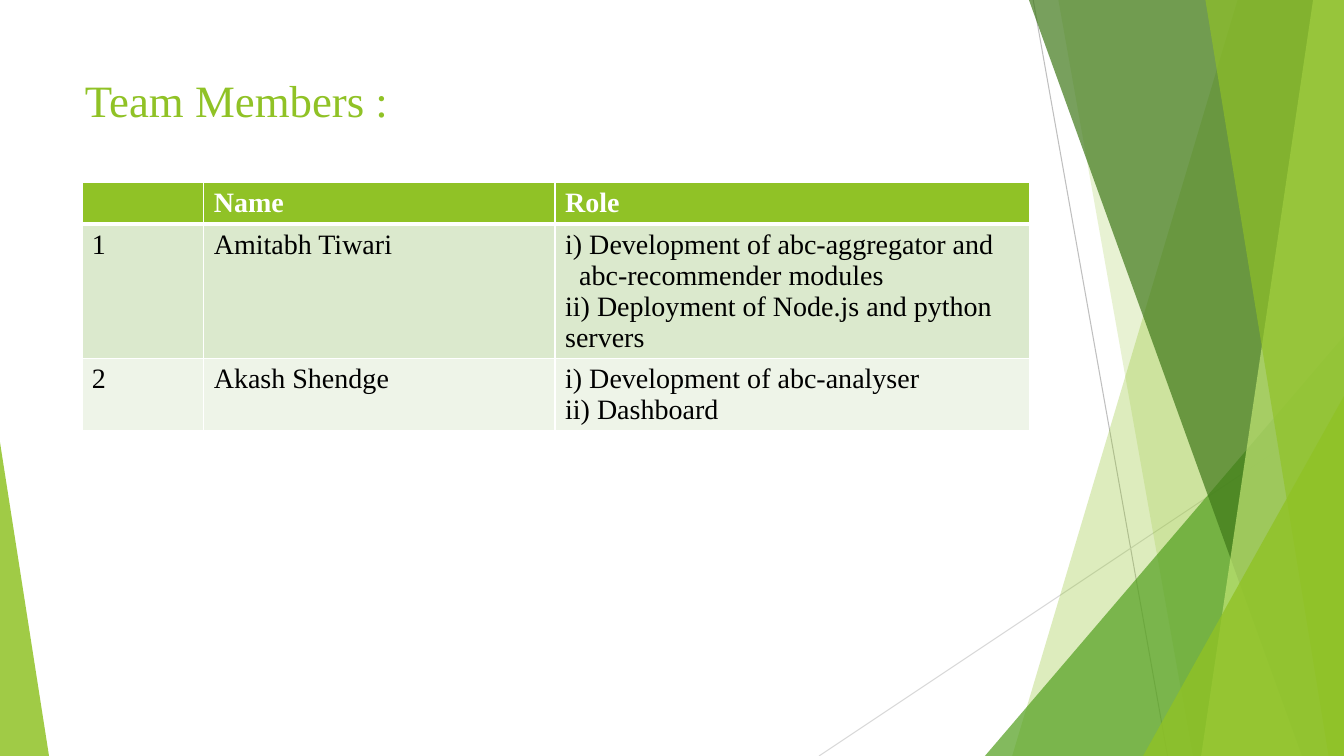
from pptx import Presentation
from pptx.util import Pt
from pptx.dml.color import RGBColor
from pptx.enum.shapes import MSO_SHAPE as Kind, MSO_CONNECTOR as Link
from pptx.enum.text import PP_ALIGN as Align, MSO_ANCHOR as Anchor
from pptx.oxml.ns import qn
from lxml.etree import SubElement as Sub


def hue(code):
    return RGBColor.from_string(code)


class Deck:
    """Holds the style and the current slide, and draws each kind of element."""
    font = "Times New Roman"
    lime = "90C226"
    wide, high = 960, 540

    def __init__(self):
        self.prs = Presentation()
        self.prs.slide_width, self.prs.slide_height = Pt(self.wide), Pt(self.high)
        self.slide = self.prs.slides.add_slide(self.prs.slide_layouts[5])
        self.shapes = self.slide.shapes

    def paint(self, shape, code, alpha):
        shape.shadow.inherit = False
        shape.line.fill.background()
        shape.fill.solid()
        shape.fill.fore_color.rgb = hue(code)
        tone = shape._element.spPr.find(qn("a:solidFill"))[0]
        Sub(tone, qn("a:alpha"), val=str(alpha * 1000))

    def line(self, start, end, code):
        link = self.shapes.add_connector(Link.STRAIGHT, *map(Pt, start + end))
        link.line.color.rgb = hue(code)
        link.line.width = Pt(0.75)
        Sub(link._element.spPr, qn("a:effectLst"))

    def band(self, top, base, code, alpha):
        pen = self.shapes.build_freeform(top, 0, scale=Pt(1))
        pen.add_line_segments([(self.wide, 0), (self.wide, self.high), (base, self.high)])
        self.paint(pen.convert_to_shape(), code, alpha)

    def wedge(self, left, top, width, tip, code, alpha):
        box = map(Pt, (left, top, width, self.high - top))
        shape = self.shapes.add_shape(Kind.ISOSCELES_TRIANGLE, *box)
        shape.adjustments[0] = tip
        self.paint(shape, code, alpha)

    def label(self, para, text, size, code, bold=False):
        run = para.add_run()
        run.text = text
        run.font.name, run.font.size, run.font.bold = self.font, Pt(size), bold
        run.font.color.rgb = hue(code)

    def title(self, text, left, top, width, height):
        head = self.shapes.title
        head.left, head.top, head.width, head.height = map(Pt, (left, top, width, height))
        head.text_frame.vertical_anchor = Anchor.TOP
        para = head.text_frame.paragraphs[0]
        para.alignment = Align.LEFT
        self.label(para, text, 32, self.lime)
        self.shapes._spTree.append(head._element)

    def edge(self, cell, side, width):
        rule = Sub(cell._tc.get_or_add_tcPr(), qn("a:ln" + side), w=str(Pt(width)))
        Sub(Sub(rule, qn("a:solidFill")), qn("a:srgbClr"), val="FFFFFF")

    def cell(self, cell, texts, row):
        for side in "LRTB":
            thick = (row, side) in [(0, "B"), (1, "T")]
            self.edge(cell, side, 3 if thick else 1)
        cell.fill.solid()
        cell.fill.fore_color.rgb = hue((self.lime, "DBE9CD", "EEF4E8")[row])
        frame = cell.text_frame
        for num, text in enumerate(texts):
            para = frame.add_paragraph() if num else frame.paragraphs[0]
            self.label(para, text, 20, "000000" if row else "FFFFFF", not row)
            if text.startswith("i)"):
                props = para._p.get_or_add_pPr()
                props.set("marL", str(Pt(10)))
                props.set("indent", str(Pt(-10)))

    def table(self, left, top, cols, rows, data):
        box = map(Pt, (left, top, sum(cols), sum(rows)))
        grid = self.shapes.add_table(len(rows), len(cols), *box).table
        for col, width in zip(grid.columns, cols):
            col.width = Pt(width)
        for num, (row, height) in enumerate(zip(grid.rows, rows)):
            row.height = Pt(height)
            for cell, texts in zip(row.cells, data[num]):
                self.cell(cell, texts, num)


def main():
    deck = Deck()
    deck.line((738, 0), (834, 540), "BFBFBF")
    deck.line((960, 290), (585, 540), "D9D9D9")
    deck.band(884, 723, deck.lime, 30)
    deck.band(756, 852, deck.lime, 20)
    deck.wedge(703.5, 240, 256.5, 1, "54A021", 72)
    deck.band(735, 929.5, "3F7819", 70)
    deck.band(938, 858, "C0E474", 70)
    deck.band(861, 949, deck.lime, 65)
    deck.wedge(816.5, 283, 143.5, 1, deck.lime, 80)
    deck.wedge(0, 316, 35, 0, deck.lime, 85)
    deck.title("Team Members :", 53.5, 48, 677, 82)
    deck.table(58.5, 130.5, (87, 251, 339), (29.5, 96, 51.5), [
        ([], ["Name"], ["Role"]),
        (["1"], ["Amitabh Tiwari"], [
            "i) Development of abc-aggregator and abc-recommender modules",
            "ii) Deployment of Node.js and python servers"]),
        (["2"], ["Akash Shendge"], [
            "i) Development of abc-analyser",
            "ii) Dashboard"]),
    ])
    deck.prs.save("out.pptx")


if __name__ == "__main__":
    main()
